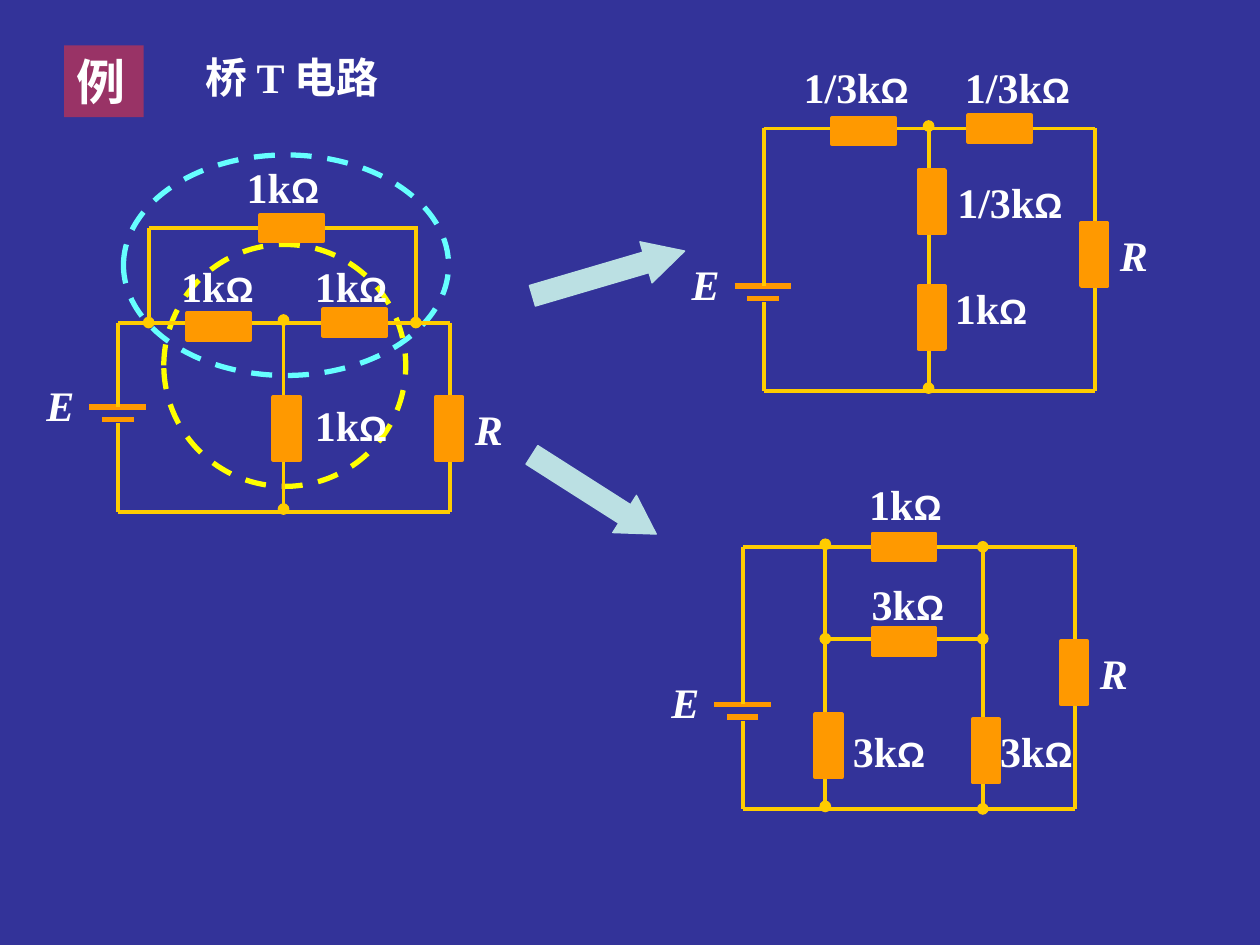
from pptx import Presentation
from pptx.dml.color import RGBColor
from pptx.enum.dml import MSO_LINE
from pptx.enum.shapes import MSO_CONNECTOR, MSO_SHAPE
from pptx.enum.text import MSO_ANCHOR, PP_ALIGN
from pptx.oxml.ns import qn
from pptx.util import Inches, Pt
from lxml import etree

STRAIGHT = MSO_CONNECTOR.STRAIGHT
RECTANGLE, OVAL, RIGHT_ARROW = MSO_SHAPE.RECTANGLE, MSO_SHAPE.OVAL, MSO_SHAPE.RIGHT_ARROW
DASH = MSO_LINE.DASH
TOP, LEFT = MSO_ANCHOR.TOP, PP_ALIGN.LEFT

NAVY = RGBColor(0x33, 0x33, 0x99)
WHITE = RGBColor(0xFF, 0xFF, 0xFF)
ORANGE = RGBColor(0xFF, 0x99, 0x00)
GOLD = RGBColor(0xFF, 0xCC, 0x00)
PLUM = RGBColor(0x99, 0x33, 0x66)
PALE_BLUE = RGBColor(0xBB, 0xE0, 0xE3)
CYAN = RGBColor(0x66, 0xFF, 0xFF)
YELLOW = RGBColor(0xFF, 0xFF, 0x00)

CIRCUIT_WIDTH = 2.63
RESISTOR_WIDTH, RESISTOR_LENGTH = 0.21, 0.5

# Positions in inches. wires: x1, y1, x2, y2, ends that carry a dot
# resistors: left, top, rotation; labels: text, left, top, width
star_circuit = {
    "left": 6.06, "top": 1.02, "bottom": 3.1, "battery": 2.27, "load": 1.77,
    "wires": [(7.37, 1, 7.37, 3.08, ("headEnd", "tailEnd"))],
    "resistors": [(7.29, 2.27, 0), (7.83, 0.77, 270), (6.75, 0.79, 270), (7.29, 1.35, 0)],
    "labels": [("1/3k", 6.28, 0.44, 1.11), ("1/3k", 7.56, 0.44, 1.13),
               ("1k", 7.48, 2.19, 0.87), ("1/3k", 7.5, 1.35, 1.06)],
}
delta_circuit = {
    "left": 5.9, "top": 4.34, "bottom": 6.42, "battery": 5.59, "load": 5.09,
    "wires": [(6.55, 4.32, 6.55, 6.4, ("headEnd", "tailEnd")),
              (7.8, 4.34, 7.8, 6.42, ("headEnd", "tailEnd")),
              (6.55, 5.07, 7.8, 5.07, ("headEnd", "tailEnd"))],
    "resistors": [(7.07, 4.09, 270), (6.47, 5.67, 0), (7.72, 5.71, 0), (7.07, 4.84, 270)],
    "labels": [("1k", 6.8, 3.75, 0.83), ("3k", 6.67, 5.71, 0.96),
               ("3k", 7.84, 5.71, 0.96), ("3k", 6.82, 4.54, 0.96)],
}
bridge_circuit = {
    "left": 0.94, "top": 2.56, "bottom": 4.06, "battery": 3.23, "load": 3.15,
    "wires": [(2.25, 2.54, 2.25, 4.04, ("headEnd", "tailEnd")),
              (1.18, 2.56, 1.18, 1.81, ("headEnd",)),
              (1.18, 1.81, 3.32, 1.81, ()),
              (3.3, 2.56, 3.3, 1.81, ("headEnd",))],
    "resistors": [(2.17, 3.15, 0), (2.71, 2.31, 270), (1.63, 2.34, 270), (2.21, 1.56, 270)],
    "labels": [("1k", 1.86, 1.23, 1), ("1k", 1.34, 2.02, 1),
               ("1k", 2.4, 2.02, 1), ("1k", 2.4, 3.12, 1)],
}


def add_line(shapes, x1, y1, x2, y2, dots=(), color=GOLD, width=2.25):
    line = shapes.add_connector(STRAIGHT, Inches(x1), Inches(y1), Inches(x2), Inches(y2))
    line.line.color.rgb = color
    line.line.width = Pt(width)
    properties = line._element.spPr
    for end in dots:
        etree.SubElement(properties.find(qn("a:ln")), qn("a:" + end), type="oval")
    etree.SubElement(properties, qn("a:effectLst"))


def add_label(shapes, text, left, top, width, unit="", italic=False):
    label = shapes.add_textbox(Inches(left), Inches(top), Inches(width), Inches(0.5))
    label.text_frame.word_wrap = True
    paragraph = label.text_frame.paragraphs[0]
    paragraph.font.bold = True
    paragraph.font.italic = italic
    paragraph.font.color.rgb = WHITE
    for part, font, size in ((text, "Times New Roman", 24), (unit, "Arial", 20)):
        if part:
            run = paragraph.add_run()
            run.text = part
            run.font.name = font
            run.font.size = Pt(size)


presentation = Presentation()
presentation.slide_width = Inches(10)
presentation.slide_height = Inches(7.5)
slide = presentation.slides.add_slide(presentation.slide_layouts[6])
slide.background.fill.solid()
slide.background.fill.fore_color.rgb = NAVY

# Title and example badge
add_label(slide.shapes, "桥 T 电路", 1.53, 0.36, 1.9)
badge = slide.shapes.add_shape(RECTANGLE, Inches(0.51), Inches(0.36), Inches(0.63), Inches(0.57))
badge.shadow.inherit = False
badge.fill.solid()
badge.fill.fore_color.rgb = PLUM
badge.line.fill.background()
badge.text_frame.vertical_anchor = TOP
paragraph = badge.text_frame.paragraphs[0]
paragraph.text = "例"
paragraph.alignment = LEFT
paragraph.font.name = "Times New Roman"
paragraph.font.size = Pt(28)
paragraph.font.bold = True
paragraph.font.color.rgb = WHITE

# Arrows to the two equivalent circuits
for left, top, width, height, rotation, head in ((4.2, 2, 1.26, 0.34, 343.6, 0.94),
                                                 (4.13, 3.75, 1.17, 0.35, 32.5, 0.85)):
    arrow = slide.shapes.add_shape(RIGHT_ARROW, Inches(left), Inches(top),
                                   Inches(width), Inches(height))
    arrow.shadow.inherit = False
    arrow.rotation = rotation
    arrow.adjustments[1] = head
    arrow.fill.solid()
    arrow.fill.fore_color.rgb = PALE_BLUE
    arrow.line.color.rgb = PALE_BLUE
    arrow.line.width = Pt(0.75)

# Dashed rings around the delta and the star
for left, top, width, height, color in ((0.98, 1.23, 2.58, 1.75, CYAN),
                                        (1.3, 1.94, 1.92, 1.92, YELLOW)):
    ring = slide.shapes.add_shape(OVAL, Inches(left), Inches(top), Inches(width), Inches(height))
    ring.shadow.inherit = False
    ring.fill.background()
    ring.line.color.rgb = color
    ring.line.width = Pt(3)
    ring.line.dash_style = DASH

# Circuits, one group each
for circuit in (star_circuit, delta_circuit, bridge_circuit):
    shapes = slide.shapes.add_group_shape().shapes
    left, top, bottom = circuit["left"], circuit["top"], circuit["bottom"]
    battery, load = circuit["battery"], circuit["load"]
    right = left + CIRCUIT_WIDTH

    # Battery plates
    add_line(shapes, left - 0.23, battery, left + 0.22, battery, color=ORANGE, width=3)
    add_line(shapes, left - 0.13, battery + 0.1, left + 0.12, battery + 0.1, color=ORANGE, width=3)

    # Outer loop and inner wires
    add_line(shapes, left, battery + 0.13, left, bottom)
    add_line(shapes, left, battery, left, top)
    add_line(shapes, left, top, right, top)
    add_line(shapes, left, bottom, right, bottom)
    add_line(shapes, right, top, right, bottom)
    for wire in circuit["wires"]:
        add_line(shapes, *wire)

    # Resistors, the load last
    for x, y, rotation in circuit["resistors"] + [(right - 0.11, load, 0)]:
        resistor = shapes.add_shape(RECTANGLE, Inches(x), Inches(y),
                                    Inches(RESISTOR_WIDTH), Inches(RESISTOR_LENGTH))
        resistor.shadow.inherit = False
        resistor.rotation = rotation
        resistor.fill.solid()
        resistor.fill.fore_color.rgb = ORANGE
        resistor.line.color.rgb = ORANGE
        resistor.line.width = Pt(2.25)

    # Values and names
    for label in circuit["labels"]:
        add_label(shapes, *label, unit="Ω")
    add_label(shapes, "R", right + 0.1, load, 0.35, italic=True)
    add_label(shapes, "E", left - 0.67, battery - 0.27, 0.43, italic=True)

presentation.save("out.pptx")
